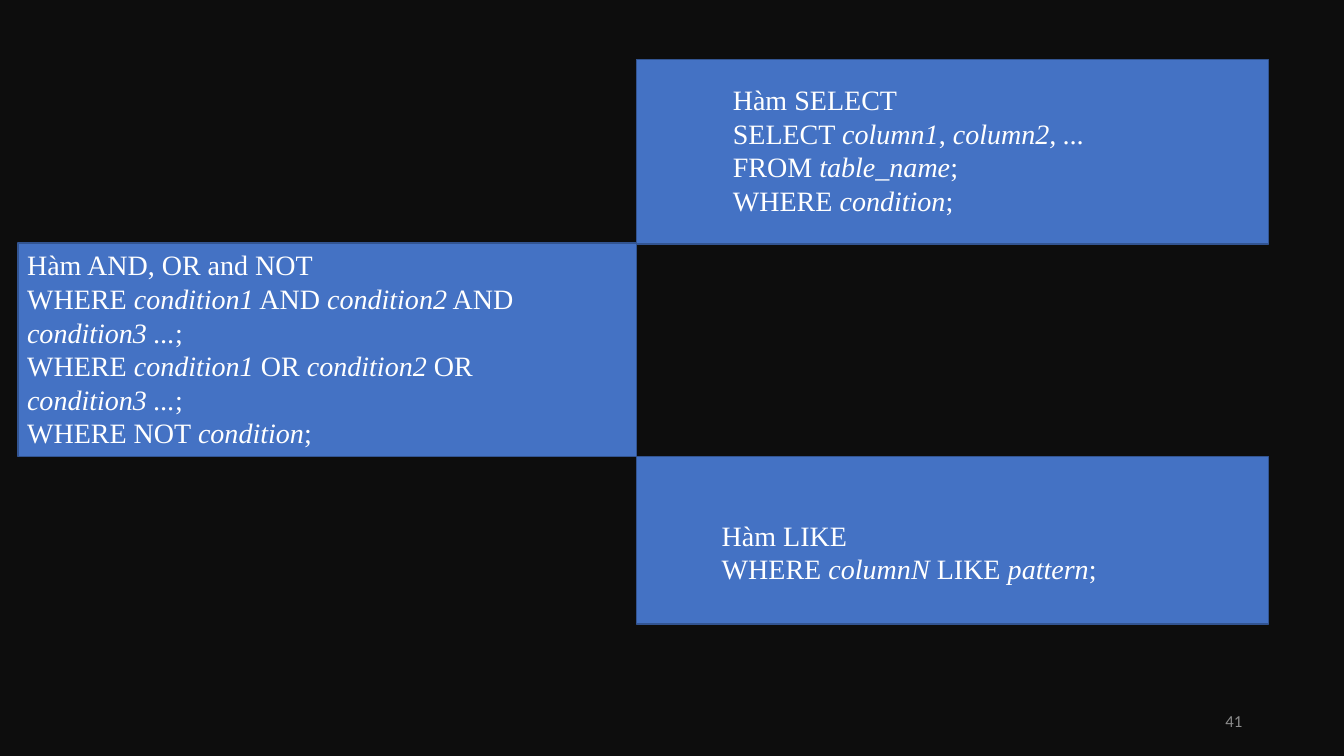
import pptx
import pptx.util
import pptx.dml.color
import pptx.enum.shapes
import pptx.enum.text

WIDTH = pptx.util.Inches(13.33)
HEIGHT = pptx.util.Inches(7.5)
COLORS = {
    "back": "0D0D0D",
    "panel": "4472C4",
    "border": "325491",
    "code": "FFFFFF",
    "number": "8C8C8C",
}

# Shares of the slide's size, in percent
LEFT, MIDDLE, RIGHT = 1.35, 47.34, 94.38
PANELS = [
    (MIDDLE, 60.4, RIGHT - MIDDLE, 22.13),
    (LEFT, 32.13, MIDDLE - LEFT, 28.27),
    (MIDDLE, 7.87, RIGHT - MIDDLE, 24.4),
]
SELECT = [
    "Hàm SELECT",
    "SELECT *column1*,* column2, ...",
    "FROM *table_name*;",
    "WHERE *condition*;",
]
LOGIC = [
    "Hàm AND, OR and NOT",
    "WHERE *condition1* AND *condition2* AND",
    "*condition3 ...*;",
    "WHERE *condition1* OR *condition2* OR",
    "*condition3 ...*;",
    "WHERE NOT *condition*;",
]
LIKE = [
    "Hàm LIKE",
    "WHERE *columnN* LIKE *pattern*;",
]
CODES = [
    (SELECT, (53.79, 10.27, 46.2, 19.33)),
    (LOGIC, (1.28, 32.13, 43.96, 28.27)),
    (LIKE, (52.96, 67.87, 47, 10.27)),
]


def color(name):
    return pptx.dml.color.RGBColor.from_string(COLORS[name])


def place(area):
    """Turn percent shares (left, top, width, height) into slide lengths."""
    sizes = (WIDTH, HEIGHT, WIDTH, HEIGHT)
    return [int(size * share / 100) for size, share in zip(sizes, area)]


def add_panel(slide, area):
    kind = pptx.enum.shapes.MSO_SHAPE.RECTANGLE
    panel = slide.shapes.add_shape(kind, *place(area))
    panel.shadow.inherit = False
    panel.fill.solid()
    panel.fill.fore_color.rgb = color("panel")
    panel.line.color.rgb = color("border")
    panel.line.width = pptx.util.Pt(1)


def add_text(slide, area, lines, size, font, tint):
    """Write one paragraph per line; parts between asterisks are italic."""
    frame = slide.shapes.add_textbox(*place(area)).text_frame
    frame.word_wrap = True
    for row, line in enumerate(lines):
        para = frame.add_paragraph() if row else frame.paragraphs[0]
        for part, words in enumerate(line.split("*")):
            if words:
                run = para.add_run()
                run.text = words
                run.font.name = font
                run.font.size = pptx.util.Pt(size)
                run.font.italic = part % 2 == 1
                run.font.color.rgb = color(tint)
    return frame


def add_number(slide, number):
    area = (70.67, 92.67, 22.5, 5.33)
    frame = add_text(slide, area, [number], 12, "Calibri", "number")
    frame.vertical_anchor = pptx.enum.text.MSO_ANCHOR.MIDDLE
    frame.paragraphs[0].alignment = pptx.enum.text.PP_ALIGN.RIGHT


def main():
    deck = pptx.Presentation()
    deck.slide_width, deck.slide_height = WIDTH, HEIGHT
    slide = deck.slides.add_slide(deck.slide_layouts[6])
    slide.background.fill.solid()
    slide.background.fill.fore_color.rgb = color("back")
    for area in PANELS:
        add_panel(slide, area)
    add_number(slide, "41")
    for lines, area in CODES:
        add_text(slide, area, lines, 20, "Times New Roman", "code")
    deck.save("out.pptx")


if __name__ == "__main__":
    main()
